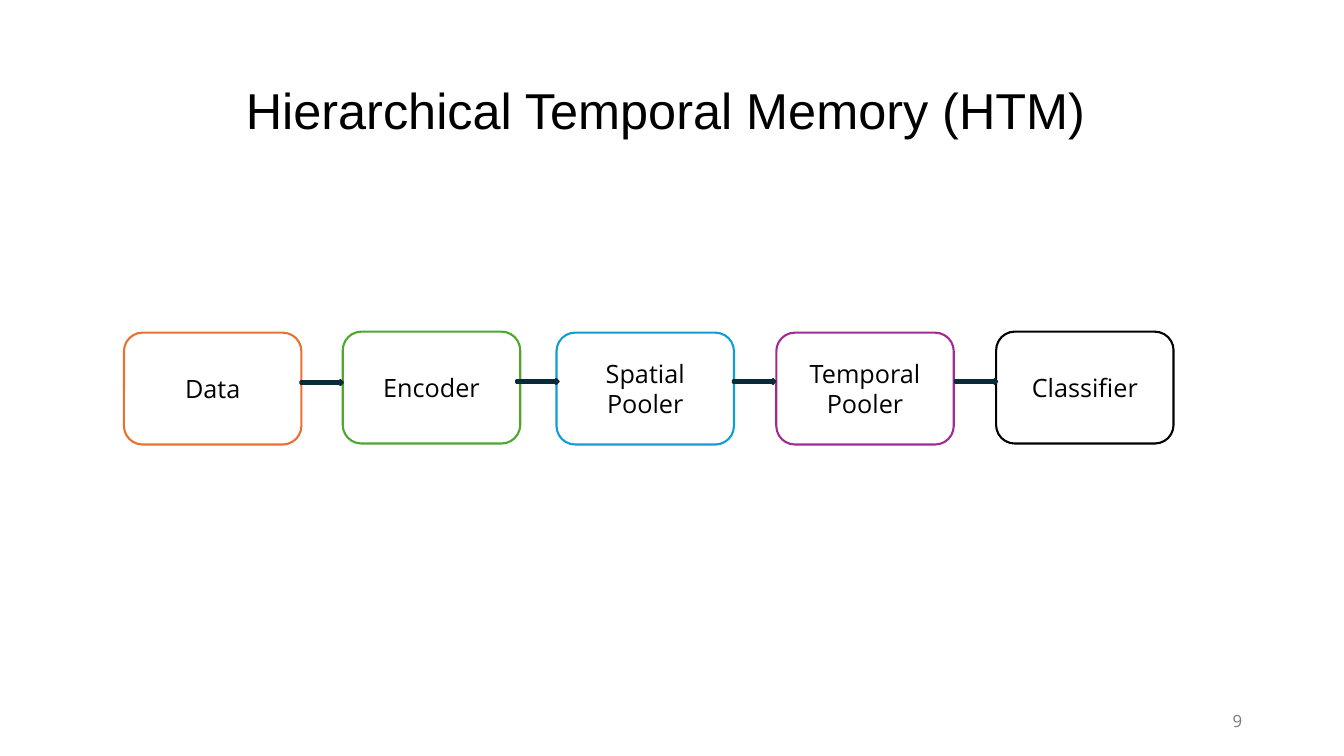
from pptx import Presentation
from pptx.dml.color import RGBColor
from pptx.enum.shapes import MSO_SHAPE
from pptx.enum.text import MSO_ANCHOR, PP_ALIGN
from pptx.util import Pt

PX = 9144
COLORS = {
    "white": "FFFFFF",
    "black": "000000",
    "gray": "797979",
    "orange": "E97132",
    "green": "4EA72E",
    "blue": "0F9ED5",
    "purple": "A02B93",
    "teal": "156082",
    "navy": "092A39",
}
TITLE = {"name": "Arial", "size": Pt(36)}
LABEL = {"name": "Open Sans", "size": Pt(18)}
NUMBER = {"name": "Open Sans", "size": Pt(12)}

STAGE_SIZE = (176, 111)
STAGES = [
    ("Data", "orange", 0, 1),
    ("Encoder", "green", 217, 0),
    ("Spatial Pooler", "blue", 429, 1),
    ("Temporal Pooler", "purple", 647, 1),
    ("Classifier", "black", 865, 0),
]
ARROW_SIZE = (42, 5)
ARROWS = [(175, 48), (389, 47), (604, 47), (824, 47)]


def color(name):
    return RGBColor.from_string(COLORS[name])


def scaled(box):
    return [length * PX for length in box]


def write(shape, text, style, ink, align=PP_ALIGN.CENTER, spacing=1.0):
    frame = shape.text_frame
    frame.word_wrap = True
    frame.vertical_anchor = MSO_ANCHOR.MIDDLE
    para = frame.paragraphs[0]
    para.alignment = align
    para.line_spacing = spacing
    span = para.add_run()
    span.text = text
    for key, value in style.items():
        setattr(span.font, key, value)
    span.font.color.rgb = color(ink)


def add_text(page, box, *content, **layout):
    write(page.shapes.add_textbox(*scaled(box)), *content, **layout)


def add_figure(page, kind, box, fill, line):
    shape = page.shapes.add_shape(kind, *scaled(box))
    shape.shadow.inherit = False
    shape.fill.solid()
    shape.fill.fore_color.rgb = color(fill)
    shape.line.color.rgb = color(line)
    shape.line.width = Pt(1.5)
    return shape


def add_pipeline(page, left, top):
    for label, outline, across, down in STAGES:
        box = (left + across, top + down, *STAGE_SIZE)
        stage = add_figure(page, MSO_SHAPE.ROUNDED_RECTANGLE, box, "white", outline)
        write(stage, label, LABEL, "black")
    for across, down in ARROWS:
        box = (left + across, top + down, *ARROW_SIZE)
        add_figure(page, MSO_SHAPE.RIGHT_ARROW, box, "teal", "navy")


def main():
    deck = Presentation()
    deck.slide_width, deck.slide_height = scaled((1333, 750))
    page = deck.slides.add_slide(deck.slide_layouts[6])
    add_text(page, (92, 40, 1150, 145), "Hierarchical Temporal Memory (HTM) ",
             TITLE, "black", spacing=0.9)
    add_text(page, (942, 695, 300, 40), "9", NUMBER, "gray", align=PP_ALIGN.RIGHT)
    add_pipeline(page, 123, 329)
    deck.save("out.pptx")


if __name__ == "__main__":
    main()
